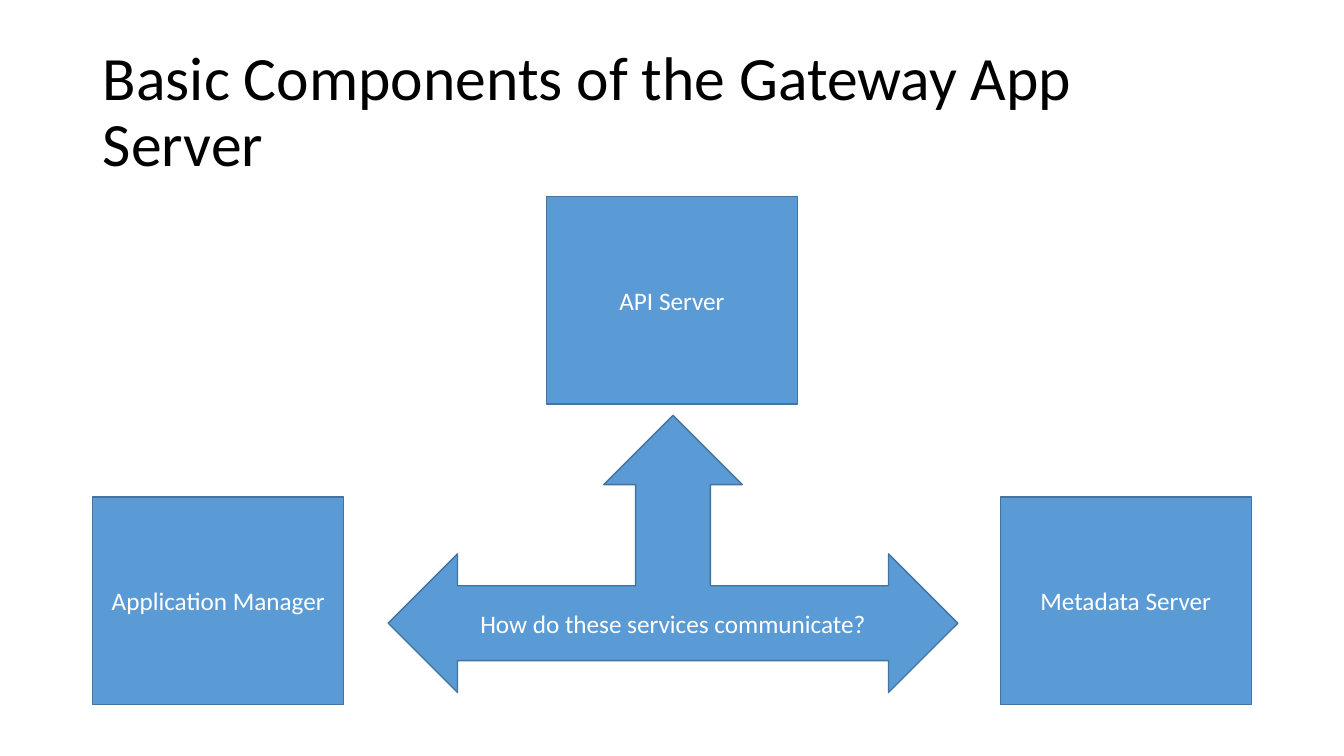
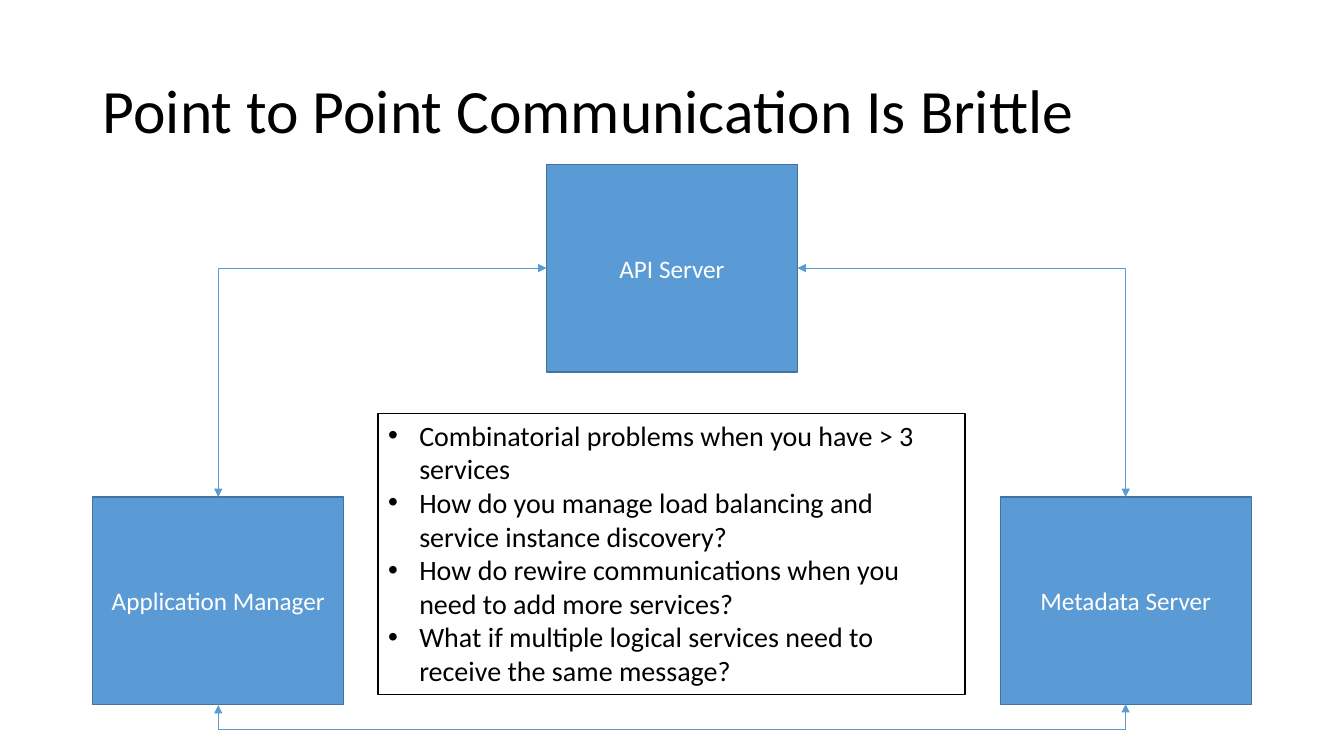
import pptx
import pptx.util
import pptx.dml.color
import pptx.enum.shapes
import pptx.enum.text
import pptx.oxml
import pptx.oxml.ns
import lxml.etree

TITLES = ("Basic Components of the Gateway App Server",
          "Point to Point Communication Is Brittle")
API, MANAGER, METADATA = "API Server", "Application Manager", "Metadata Server"
QUESTION = "How do these services communicate?"
PROBLEMS = ("Combinatorial problems when you have > 3 services",
            "How do you manage load balancing and service instance discovery?",
            "How do rewire communications when you need to add more services?",
            "What if multiple logical services need to receive the same message?")

FONT = "Calibri"
BLUE, EDGE, WHITE, BLACK = "5B9BD5", "43739E", "FFFFFF", "000000"
WIDTH, HEIGHT, MARGIN = 13.33, 7.5, 0.92
BOX_W, BOX_H, BOX_TOP = 2.49, 2.06, 4.93
API_TOPS = (1.95, 1.63)
TOP, LEFT, BOTTOM, RIGHT = range(4)  # connection sites of a rectangle
INDENT, LOOP_DROP, LOOP_RISE = 0.31, 0.25, 0.01

SHAPES = pptx.enum.shapes.MSO_SHAPE
ALIGN = pptx.enum.text.PP_ALIGN
ANCHOR = pptx.enum.text.MSO_ANCHOR
inch = pptx.util.Inches
qn = pptx.oxml.ns.qn


def rgb(value):
    """Turn a hex string into a colour."""
    return pptx.dml.color.RGBColor.from_string(value)


def paint(s, fill, line):
    """Give a shape a solid fill and a thin outline."""
    s.fill.solid()
    s.fill.fore_color.rgb = rgb(fill)
    s.line.color.rgb = rgb(line)
    s.line.width = pptx.util.Pt(1)


def write(s, lines, size, color, align, anchor):
    """Fill a shape with paragraphs in one style."""
    tf = s.text_frame
    tf.text = "\n".join(lines)
    tf.word_wrap = True
    tf.auto_size = pptx.enum.text.MSO_AUTO_SIZE.NONE
    tf.vertical_anchor = anchor
    for p in tf.paragraphs:
        p.alignment = align
        for r in p.runs:
            r.font.name, r.font.size = FONT, pptx.util.Pt(size)
            r.font.color.rgb = rgb(color)


def add_titled_slide(prs, title):
    """Add a title-only slide and format its title."""
    slide = prs.slides.add_slide(prs.slide_layouts[5])
    s = slide.shapes.title
    s.left, s.top = inch(MARGIN), inch(0.4)
    s.width, s.height = inch(WIDTH - 2 * MARGIN), inch(1.45)
    write(s, [title], 44, BLACK, ALIGN.LEFT, ANCHOR.MIDDLE)
    s.text_frame.paragraphs[0].line_spacing = 0.9
    return slide


def add_block(slide, kind, text, left, top, width, height):
    """Add a blue shape with centred white text."""
    s = slide.shapes.add_shape(kind, inch(left), inch(top), inch(width), inch(height))
    s.shadow.inherit = False
    paint(s, BLUE, EDGE)
    write(s, [text], 18, WHITE, ALIGN.CENTER, ANCHOR.MIDDLE)
    return s


def add_services(slide, api_top):
    """Place the three services: one in the centre, two at the margins."""
    places = ((API, (WIDTH - BOX_W) / 2, api_top),
              (MANAGER, MARGIN, BOX_TOP),
              (METADATA, WIDTH - MARGIN - BOX_W, BOX_TOP))
    return [add_block(slide, SHAPES.RECTANGLE, name, x, y, BOX_W, BOX_H)
            for name, x, y in places]


def link(slide, start, start_site, end, end_site, preset):
    """Join two services with a bent line that has an arrowhead at each end."""
    c = slide.shapes.add_connector(pptx.enum.shapes.MSO_CONNECTOR.ELBOW, 0, 0, 0, 0)
    c.begin_connect(start, start_site)
    c.end_connect(end, end_site)
    c.line.color.rgb = rgb(BLUE)
    c.line.width = pptx.util.Pt(0.5)
    line = c.line._get_or_add_ln()
    for tag in ("a:headEnd", "a:tailEnd"):
        lxml.etree.SubElement(line, qn(tag), type="triangle")
    props = c._element.spPr
    lxml.etree.SubElement(props, qn("a:effectLst"))
    props.find(qn("a:prstGeom")).set("prst", preset)
    return c


def drop_below(c):
    """Turn a level connector into a loop that runs below its two ends."""
    span, middle, level = c.width, c.left + c.width // 2, c.top
    c.width, c.height = inch(LOOP_RISE), span
    c.left, c.top = middle - c.width // 2, level - span // 2
    props = c._element.spPr
    frame = props.find(qn("a:xfrm"))
    frame.set("rot", str(270 * 60000))
    frame.set("flipH", "1")
    geometry = props.find(qn("a:prstGeom"))
    guides = geometry.find(qn("a:avLst"))
    if guides is None:
        guides = lxml.etree.SubElement(geometry, qn("a:avLst"))
    ratio = round(LOOP_DROP / LOOP_RISE * 100000)
    lxml.etree.SubElement(guides, qn("a:gd"), name="adj1", fmla=f"val {ratio}")


def add_problem_list(slide):
    """Add the framed, bulleted list of problems."""
    s = slide.shapes.add_textbox(inch(3.75), inch(4.1), inch(5.82), inch(2.79))
    paint(s, WHITE, BLACK)
    write(s, PROBLEMS, 20, BLACK, ALIGN.LEFT, ANCHOR.TOP)
    for p in s.text_frame.paragraphs:
        props = p._p.get_or_add_pPr()
        props.set("marL", str(inch(INDENT)))
        props.set("indent", str(-inch(INDENT)))
        lxml.etree.SubElement(props, qn("a:buFont"), typeface="Arial")
        lxml.etree.SubElement(props, qn("a:buChar"), char="\u2022")


prs = pptx.Presentation()
prs.slide_width, prs.slide_height = inch(WIDTH), inch(HEIGHT)

components = add_titled_slide(prs, TITLES[0])
add_services(components, API_TOPS[0])
arrow = add_block(components, SHAPES.LEFT_RIGHT_UP_ARROW, QUESTION, 3.85, 4.12, 5.65, 2.75)
for i, share in enumerate((0.27, 0.25, 0.25)):
    arrow.adjustments[i] = share

brittle = add_titled_slide(prs, TITLES[1])
api, manager, metadata = add_services(brittle, API_TOPS[1])
link(brittle, api, LEFT, manager, TOP, "bentConnector2")
link(brittle, api, RIGHT, metadata, TOP, "bentConnector2")
drop_below(link(brittle, manager, BOTTOM, metadata, BOTTOM, "bentConnector3"))
add_problem_list(brittle)

prs.save("out.pptx")
